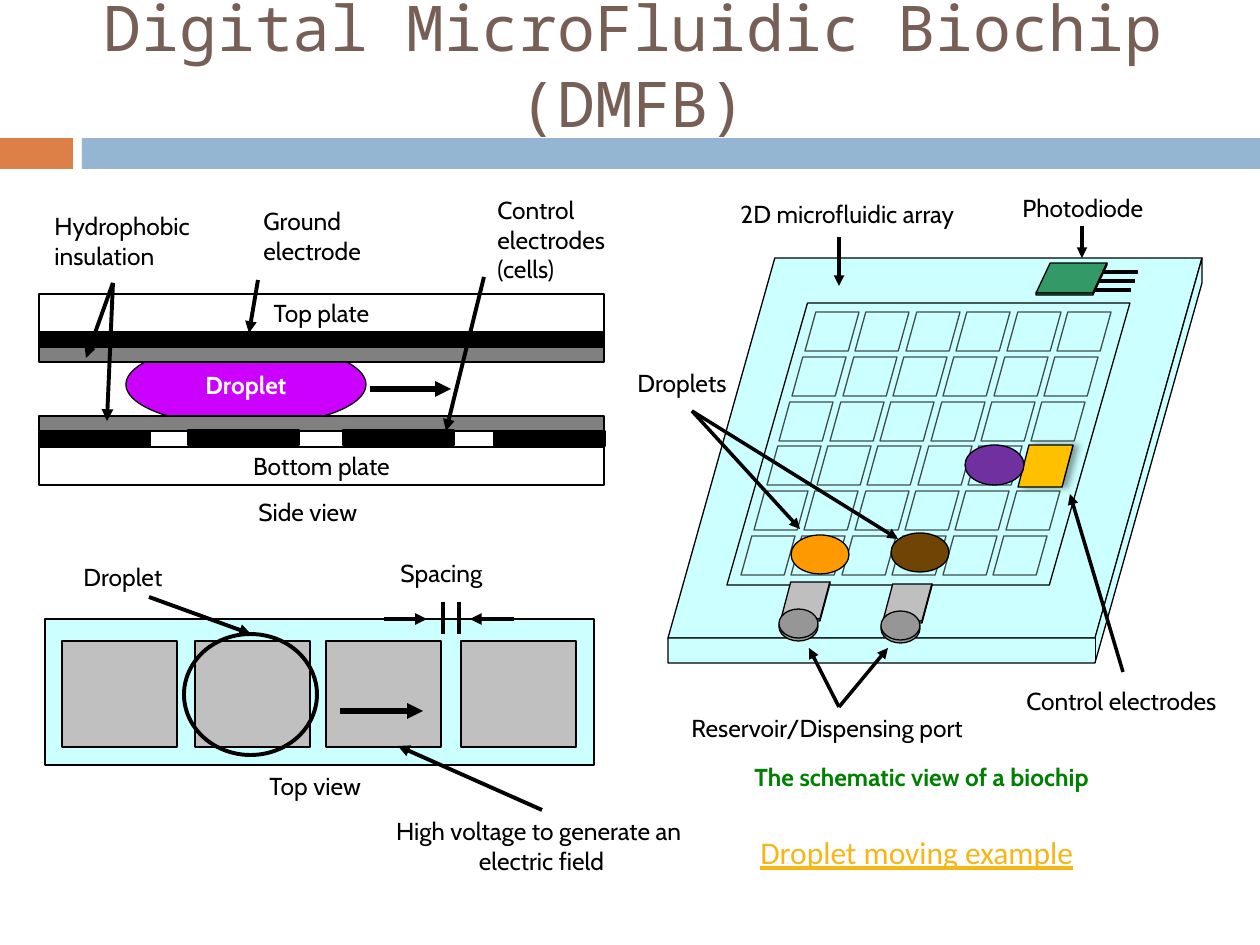
"""Build the digital microfluidic biochip slide with side, top and schematic views."""
from dataclasses import dataclass

from lxml.etree import SubElement
from pptx import Presentation
from pptx.dml.color import RGBColor
from pptx.enum.shapes import MSO_CONNECTOR, MSO_SHAPE
from pptx.enum.text import MSO_ANCHOR, PP_ALIGN
from pptx.oxml.ns import qn
from pptx.util import Pt


@dataclass(frozen=True)
class Theme:
    black: str = "000000"
    white: str = "FFFFFF"
    accent: str = "DD8047"
    band: str = "94B6D2"
    title: str = "775F55"
    caption: str = "008000"
    link: str = "F7B615"
    glass: str = "CCFFFF"
    insulation: str = "808080"
    pad: str = "C0C0C0"
    port: str = "BFBFBF"
    port_mouth: str = "969696"
    diode: str = "339966"
    active: str = "FFC000"
    magenta: str = "CC00FF"
    orange: str = "FF9900"
    brown: str = "704404"
    purple: str = "7030A0"
    label_font: str = "Cabin"
    title_font: str = "Noto Sans Mono"
    link_font: str = "Calibri"
    label_size: int = 14
    title_size: int = 36
    link_size: int = 18
    outline: float = 0.75


T = Theme()
SCALE = 914400 / 126
RECT, OVAL, SLANT = MSO_SHAPE.RECTANGLE, MSO_SHAPE.OVAL, MSO_SHAPE.FLOWCHART_DATA

BANDS = [((0, 138, 73, 31), T.accent), ((82, 138, 1178, 31), T.band)]
SIDE_LAYERS = [
    (OVAL, (126, 343, 240, 83), T.magenta, "Droplet", dict(color=T.white, bold=True)),
    (RECT, (39, 447, 565, 38), None, "Bottom plate", {}),
    (RECT, (39, 332, 565, 15), T.black, "", {}),
    (RECT, (39, 294, 565, 38), None, "Top plate", {}),
    (RECT, (39, 347, 565, 15), T.insulation, "", {}),
    (RECT, (39, 416, 565, 15), T.insulation, "", {}),
]
SIDE_ELECTRODES = [(39, 432), (188, 430), (343, 430), (494, 431)]
TOP_PADS = [62, 195, 326, 461]
PORTS = [(781, 582, 779, 609), (883, 584, 881, 611)]
ARRAY_DROPLETS = [
    ((791, 535, 58, 39), T.orange),
    ((891, 533, 58, 39), T.brown),
    ((965, 445, 59, 40), T.purple),
]
ARROWS = [
    ((258, 280), (249, 333), 2.25), ((484, 277), (446, 431), 2.25),
    ((113, 283), (107, 421), 2.25), ((113, 283), (86, 358), 2.25),
    ((370, 389), (451, 389), 3), ((340, 711), (423, 711), 3),
    ((149, 597), (251, 634), 2.25), ((514, 619), (470, 619), 2.25),
    ((384, 619), (427, 619), 2.25), ((542, 810), (398, 746), 2.25),
    ((839, 707), (809, 648), 2), ((839, 707), (888, 648), 2),
    ((692, 411), (898, 539), 2), ((692, 411), (800, 529), 2),
    ((1123, 672), (1070, 494), 2), ((1082, 226), (1082, 258), 2),
    ((839, 237), (839, 286), 2),
]
SPACING_MARKS = [443, 459]
DIODE_PINS = [(1102, 272), (1099, 281), (1095, 290)]
LABELS = [
    ("Side view", (246, 491, 198, 43), {}),
    ("Top view", (257, 765, 198, 43), {}),
    ("Ground \nelectrode", (251, 200, 159, 72), {}),
    ("Control \nelectrodes (cells)", (485, 189, 184, 102), {}),
    ("Hydrophobic insulation", (42, 205, 236, 72), {}),
    ("Droplet", (71, 556, 156, 43), {}),
    ("Spacing", (388, 552, 185, 43), {}),
    ("High voltage to generate an \nelectric field", (325, 810, 433, 72), dict(align=PP_ALIGN.CENTER)),
    ("The schematic view of a biochip", (742, 756, 438, 43), dict(color=T.caption, bold=True)),
    ("Reservoir/Dispensing port", (679, 707, 325, 43), {}),
    ("Droplets", (625, 362, 158, 43), {}),
    ("Control electrodes", (1014, 680, 227, 43), {}),
    ("Photodiode", (1010, 187, 170, 43), {}),
    ("2D microfluidic array", (728, 197, 333, 38), dict(spacing=0.85)),
    ("Droplet moving example", (748, 827, 354, 50),
     dict(font=T.link_font, size=T.link_size, color=T.link, underline=True)),
    ("Digital MicroFluidic Biochip (DMFB)", (69, -8, 1128, 145),
     dict(font=T.title_font, size=T.title_size, color=T.title,
          align=PP_ALIGN.CENTER, anchor=MSO_ANCHOR.MIDDLE)),
]


def px(*values):
    return [round(value * SCALE) for value in values]


def write(frame, text, *, font=T.label_font, size=T.label_size, color=T.black, bold=False,
          underline=False, align=PP_ALIGN.LEFT, anchor=MSO_ANCHOR.TOP, spacing=None, wrap=True):
    frame.word_wrap = wrap
    frame.vertical_anchor = anchor
    paragraph = frame.paragraphs[0]
    paragraph.text = text
    paragraph.alignment = align
    paragraph.line_spacing = spacing
    for run in paragraph.runs:
        run.font.name, run.font.size = font, Pt(size)
        run.font.bold, run.font.underline = bold, underline
        run.font.color.rgb = RGBColor.from_string(color)


def set_alpha(parent, percent):
    SubElement(next(parent.iter(qn("a:srgbClr"))), qn("a:alpha"), val=str(percent * 1000))


def paint(shape, fill, outlined=True, alpha=None):
    shape.shadow.inherit = False
    if fill:
        shape.fill.solid()
        shape.fill.fore_color.rgb = RGBColor.from_string(fill)
    else:
        shape.fill.background()
    if alpha:
        set_alpha(shape.element.spPr, alpha)
    if outlined:
        shape.line.color.rgb = RGBColor.from_string(T.black)
        shape.line.width = Pt(T.outline)
    else:
        shape.line.fill.background()
    return shape


def draw(kind, box, fill, **style):
    return paint(shapes.add_shape(kind, *px(*box)), fill, **style)


def connect(start, end, width, arrow=False):
    connector = shapes.add_connector(MSO_CONNECTOR.STRAIGHT, *px(*start, *end))
    connector.line.color.rgb = RGBColor.from_string(T.black)
    connector.line.width = Pt(width)
    properties = connector.element.spPr
    if arrow:
        SubElement(properties.find(qn("a:ln")), qn("a:tailEnd"), type="triangle")
    SubElement(properties, qn("a:effectLst"))


def slab(left, top, width, height, depth, fill):
    draw(SLANT, (left, top, width, height), fill)
    right, corner, bottom = left + width, left + 0.8 * width, top + height
    edge = shapes.build_freeform(right, top, scale=SCALE)
    edge.add_line_segments([(right, top + depth), (corner, bottom + depth), (left, bottom + depth),
                            (left, bottom), (corner, bottom)], close=True)
    paint(edge.convert_to_shape(), fill)
    connect((corner, bottom), (corner, bottom + depth), T.outline)


deck = Presentation()
deck.slide_width, deck.slide_height = px(1260, 945)
shapes = deck.slides.add_slide(deck.slide_layouts[6]).shapes

for box, fill in BANDS:
    draw(RECT, box, fill, outlined=False)

for kind, box, fill, label, style in SIDE_LAYERS:
    layer = draw(kind, box, fill)
    if label:
        write(layer.text_frame, label, align=PP_ALIGN.CENTER, anchor=MSO_ANCHOR.MIDDLE,
              wrap=False, **style)
for left, top in SIDE_ELECTRODES:
    draw(RECT, (left, top, 111, 15), T.black)

draw(RECT, (45, 619, 549, 146), T.glass)
for left in TOP_PADS:
    draw(RECT, (left, 641, 115, 106), T.pad)
paint(shapes.add_shape(OVAL, *px(184, 634, 133, 121)), None).line.width = Pt(2.25)

slab(668, 258, 534, 380, 25, T.glass)
for row in range(6):
    for column in range(6):
        cell = (round(805 - 12.8 * row + 50.4 * column), round(312.5 + 44.6 * row), 54, 39)
        draw(SLANT, cell, T.glass, alpha=30)
draw(SLANT, (727, 303, 403, 282), T.glass, alpha=30)

for left, top, mouth_left, mouth_top in PORTS:
    slab(left, top, 49, 37, 2, T.port)
    for drop in (3, 0):
        draw(OVAL, (mouth_left, mouth_top + drop, 39, 29), T.port_mouth)

active_cell = draw(SLANT, (1018, 445, 55, 42), T.active)
shadow = SubElement(active_cell.element.spPr.find(qn("a:effectLst")), qn("a:outerShdw"),
                    blurRad=str(Pt(4)), dist=str(Pt(3)), dir="0", algn="l", rotWithShape="0")
SubElement(shadow, qn("a:srgbClr"), val=T.black)
set_alpha(shadow, 40)
for box, fill in ARRAY_DROPLETS:
    draw(OVAL, box, fill)

slab(1036, 263, 71, 30, 2, T.diode)
for left, level in DIODE_PINS:
    connect((left, level), (left + 36, level), 1.75)
for mark in SPACING_MARKS:
    connect((mark, 602), (mark, 634), 2.25)
for start, end, width in ARROWS:
    connect(start, end, width, arrow=True)
for text, box, style in LABELS:
    write(shapes.add_textbox(*px(*box)).text_frame, text, **style)

deck.save("out.pptx")
